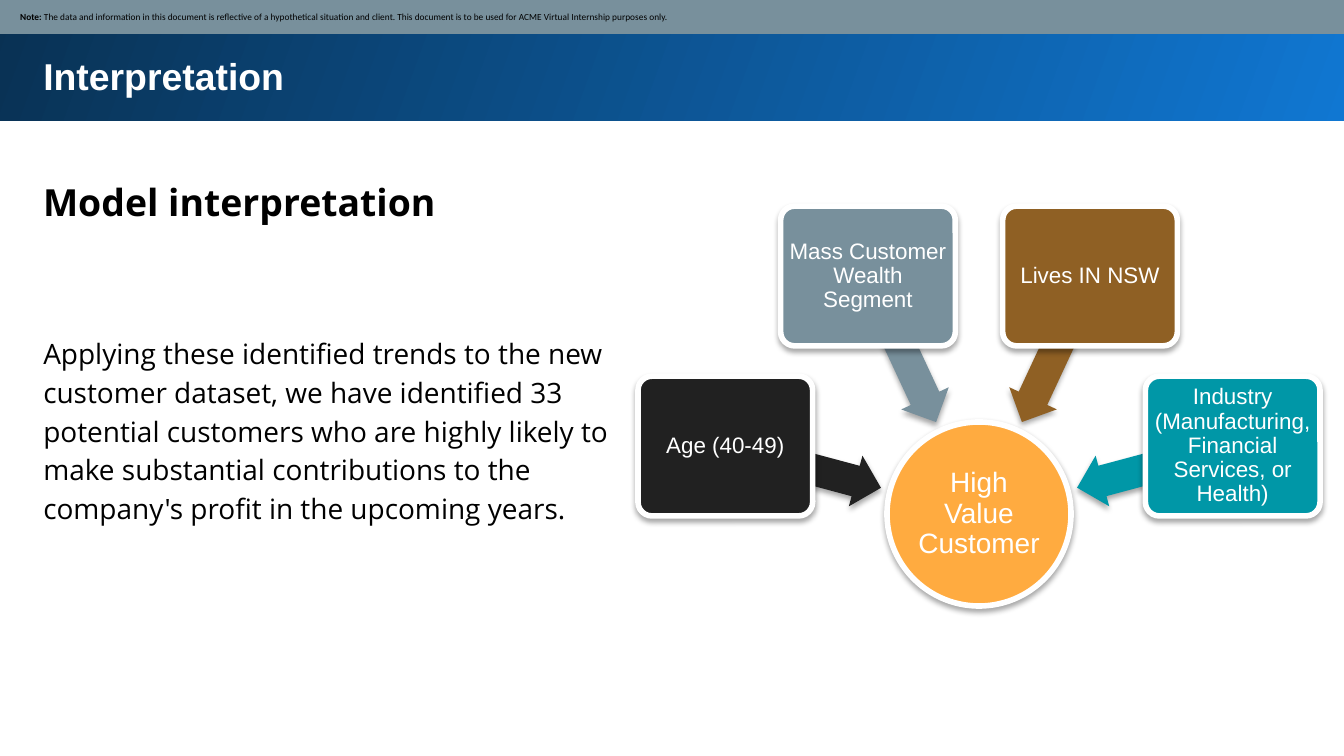
from math import cos, radians, sin
from lxml.etree import SubElement
from pptx import Presentation
from pptx.dml.color import RGBColor
from pptx.enum.shapes import MSO_SHAPE
from pptx.enum.text import MSO_ANCHOR, MSO_AUTO_SIZE, PP_ALIGN
from pptx.oxml.ns import qn
from pptx.util import Pt

TITLE = "Interpretation"
HEADING = "Model interpretation"
BODY = ("Applying these identified trends to the new customer dataset, we have identified 33 "
        "potential customers who are highly likely to make substantial contributions to the "
        "company's profit in the upcoming years.")
NOTE = [("Note: ", True),
        ("The data and information in this document is reflective of a hypothetical situation and "
         "client. This document is to be used for ACME Virtual Internship purposes only.", False)]
HUB = "High Value Customer"
FACTORS = [
    ("Age (40-49)", "212121", 195),
    ("Mass Customer Wealth Segment", "78909C", 245),
    ("Lives IN NSW", "8F6024", 295),
    ("Industry (Manufacturing, Financial Services, or Health)", "0097A7", 345),
]
HUB_X, HUB_Y, HUB_SIZE = 524.5, 275.4, 98.6
ARROW_RADIUS, ARROW_W, ARROW_H = 97.6, 86.4, 28.1
BOX_RADIUS, BOX_W, BOX_H = 140.7, 93.6, 74.9


def rgb(color):
    return RGBColor.from_string(color)


def place(sp, x, y, w, h):
    sp.left, sp.top, sp.width, sp.height = Pt(x), Pt(y), Pt(w), Pt(h)


def write(sp, runs, size, font="Arial", color="FFFFFF", bold=False, align=PP_ALIGN.LEFT,
          anchor=MSO_ANCHOR.TOP, spacing=1.0, margin=7.2):
    tf = sp.text_frame
    tf.word_wrap = True
    tf.auto_size = MSO_AUTO_SIZE.NONE
    tf.vertical_anchor = anchor
    tf.margin_left = tf.margin_right = tf.margin_top = tf.margin_bottom = Pt(margin)
    p = tf.paragraphs[0]
    p.alignment, p.line_spacing, p.space_before = align, spacing, Pt(0)
    for text, strong in [(runs, bold)] if isinstance(runs, str) else runs:
        r = p.add_run()
        r.text = text
        r.font.size, r.font.name, r.font.bold = Pt(size), font, strong
        r.font.color.rgb = rgb(color)
    return tf


def add_shape(kind, x, y, w, h, fill=None, outlined=False):
    sp = slide.shapes.add_shape(kind, Pt(x), Pt(y), Pt(w), Pt(h))
    if fill:
        sp.fill.solid()
        sp.fill.fore_color.rgb = rgb(fill)
    if outlined:
        sp.line.color.rgb = rgb("FFFFFF")
        sp.line.width = Pt(3)
    else:
        sp.line.fill.background()
    sp.shadow.inherit = False
    return sp


def add_node(kind, x, y, w, h, fill, outlined=True):
    sp = add_shape(kind, x - w / 2, y - h / 2, w, h, fill, outlined)
    effects = sp.element.spPr.find(qn("a:effectLst"))
    shadow = SubElement(effects, qn("a:outerShdw"), blurRad=str(Pt(3)), dist=str(Pt(1.8)),
                        dir="5400000", rotWithShape="0")
    black = SubElement(shadow, qn("a:srgbClr"), val="000000")
    SubElement(black, qn("a:alpha"), val="35000")
    return sp


def around_hub(angle, radius):
    return HUB_X + radius * cos(radians(angle)), HUB_Y + radius * sin(radians(angle))


prs = Presentation()
prs.slide_width, prs.slide_height = Pt(720), Pt(405)
slide = prs.slides.add_slide(prs.slide_layouts[1])
title, body = slide.placeholders

band = add_shape(MSO_SHAPE.RECTANGLE, -1.5, -1.5, 723.6, 66.3)
band.fill.gradient()
band.fill.gradient_angle = 160
for stop, color in zip(band.fill.gradient_stops, ("1077D2", "093153")):
    stop.color.rgb = rgb(color)
slide.shapes._spTree.insert(2, band.element)

place(title, 16, 21, 674.6, 59.8)
write(title, TITLE, 20, bold=True)

heading = slide.shapes.add_textbox(Pt(16), Pt(85), Pt(674.6), Pt(40.3))
write(heading, HEADING, 20, "Open Sans", "000000", bold=True, spacing=1.15)

place(body, 16, 170.6, 325.4, 118)
tf = write(body, BODY, 15, "Open Sans", "000000", spacing=1.15)
pPr = tf.paragraphs[0]._p.get_or_add_pPr()
pPr.set("marL", "0")
pPr.set("indent", "0")
SubElement(pPr, qn("a:buNone"))

note = add_shape(MSO_SHAPE.RECTANGLE, -0.7, -0.7, 722.2, 18.9, "78909C")
tf = write(note, NOTE, 5, "Calibri", "000000", anchor=MSO_ANCHOR.MIDDLE, margin=3.6)
tf.margin_left = Pt(11.5)

label = dict(align=PP_ALIGN.CENTER, anchor=MSO_ANCHOR.MIDDLE, spacing=0.9)
hub = add_node(MSO_SHAPE.OVAL, HUB_X, HUB_Y, HUB_SIZE, HUB_SIZE, "FFAB40")
write(hub, HUB, 15, margin=0.7, **label)

for text, color, angle in FACTORS:
    arrow = add_node(MSO_SHAPE.LEFT_ARROW, *around_hub(angle, ARROW_RADIUS), ARROW_W, ARROW_H,
                     color, outlined=False)
    arrow.rotation = angle
    arrow.adjustments[0], arrow.adjustments[1] = 0.6, 0.5
    box = add_node(MSO_SHAPE.ROUNDED_RECTANGLE, *around_hub(angle, BOX_RADIUS), BOX_W, BOX_H, color)
    box.adjustments[0] = 0.1
    write(box, text, 12, margin=2.2, **label)

prs.save("out.pptx")
